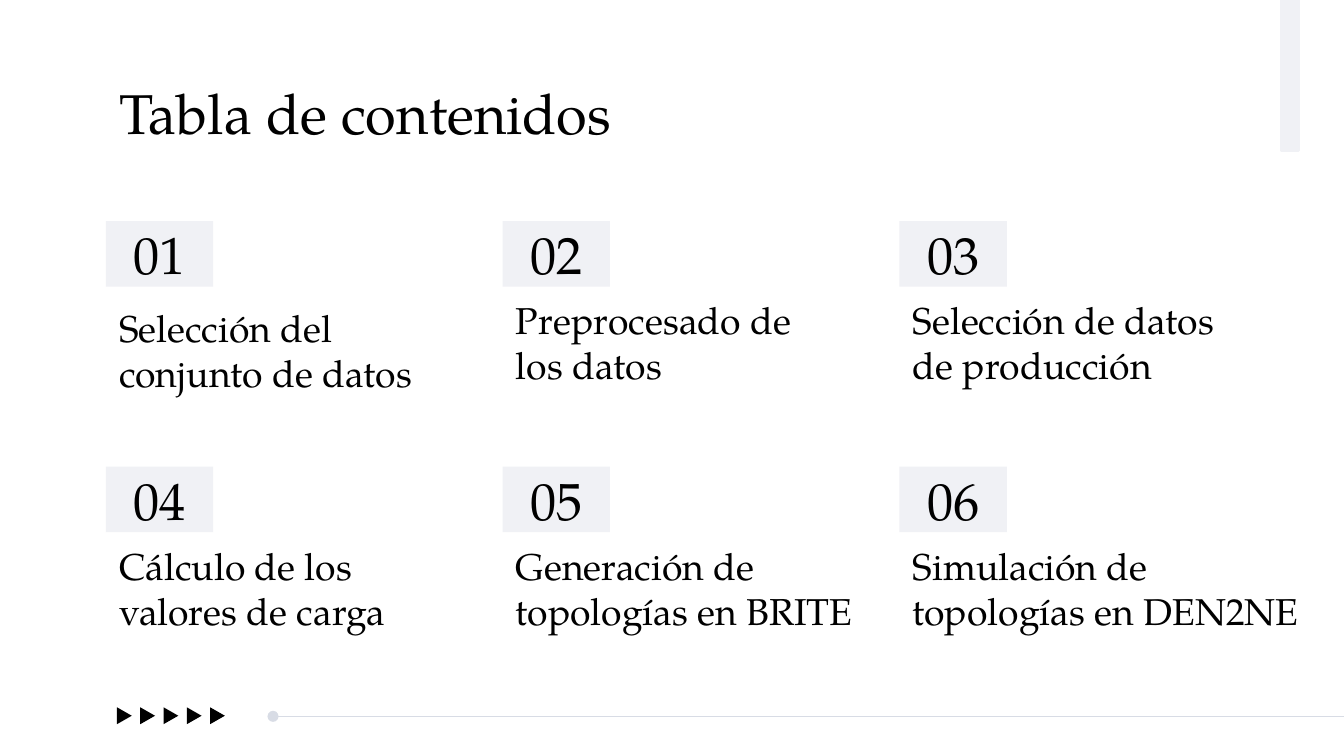
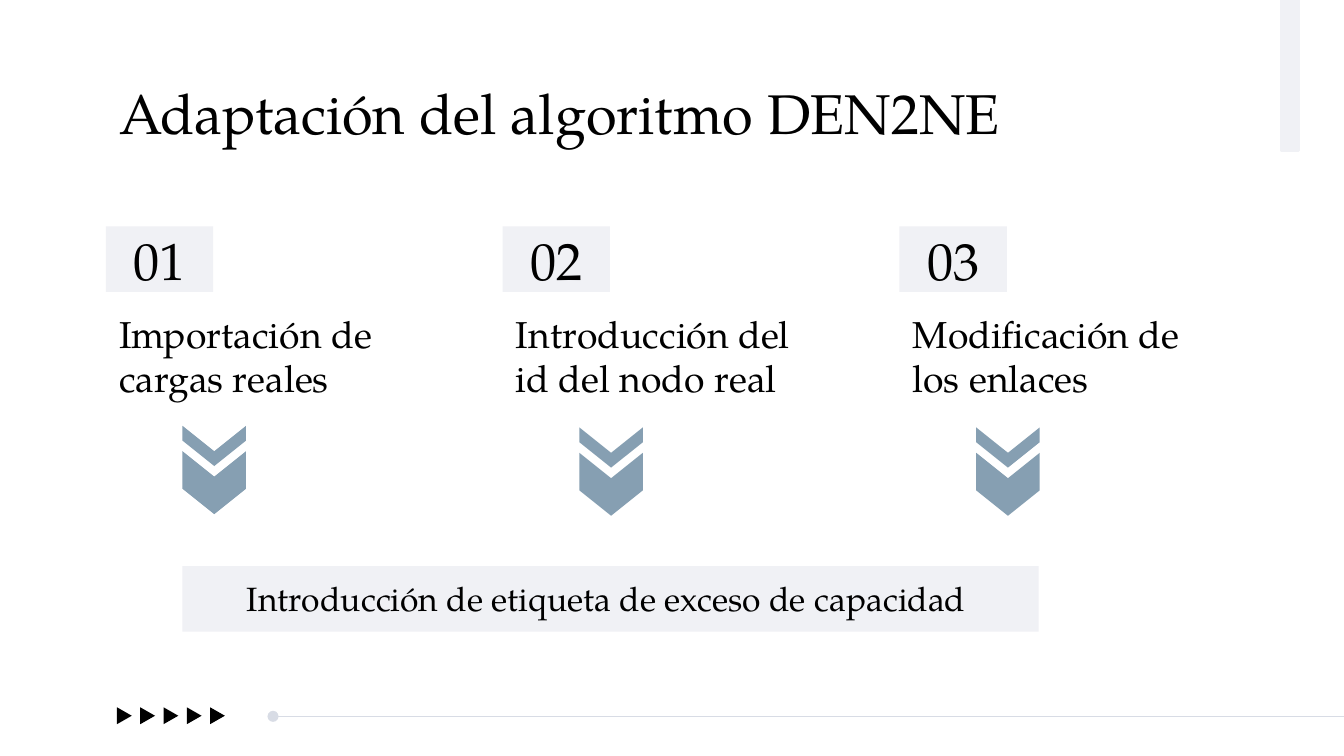
from lxml import etree
from pptx import Presentation
from pptx import util as u
from pptx.dml import color
from pptx.enum import shapes, text
from pptx.oxml import ns

FONT = "TeX Gyre Pagella"
BLACK, PALE, RULE, STEEL = "000000", "F0F1F5", "D8DCE5", "869FB2"
COLUMN_LEFT, COLUMN_PITCH = 2, 7.5
TAG_WIDTH, TAG_HEIGHT = 2.03, 1.24
CAPTION_WIDTH, CAPTION_HEIGHT = 6.4, 2.08
INSET = u.Cm(0.25)
FRAME_FORMAT = {
    "word_wrap": True,
    "margin_left": INSET,
    "margin_right": INSET,
    "margin_top": INSET,
    "margin_bottom": INSET,
}
LEFT, CENTER = text.PP_ALIGN.LEFT, text.PP_ALIGN.CENTER
TOP, MIDDLE, BOTTOM = text.MSO_ANCHOR.TOP, text.MSO_ANCHOR.MIDDLE, text.MSO_ANCHOR.BOTTOM


def rgb(value):
    return color.RGBColor.from_string(value)


def lengths(*values):
    return [u.Cm(value) for value in values]


def apply(target, values):
    for name, value in values.items():
        setattr(target, name, value)


def paint(shape, fill):
    shape.shadow.inherit = False
    shape.fill.solid()
    shape.fill.fore_color.rgb = rgb(fill)
    shape.line.fill.background()


def write(box, words, size, align=LEFT, anchor=TOP):
    frame = box.text_frame
    apply(frame, {**FRAME_FORMAT, "vertical_anchor": anchor})
    para = frame.paragraphs[0]
    para.alignment = align
    span = para.add_run()
    span.text = words
    apply(span.font, {"name": FONT, "size": u.Pt(size)})
    span.font.color.rgb = rgb(BLACK)


def add_block(page, kind, area, fill):
    block = page.shapes.add_shape(kind, *lengths(*area))
    paint(block, fill)
    return block


def add_panel(page, area, words, size, anchor):
    panel = add_block(page, shapes.MSO_SHAPE.RECTANGLE, area, PALE)
    write(panel, words, size, CENTER, anchor)


def add_label(page, area, words, size, anchor=TOP):
    box = page.shapes.add_textbox(*lengths(*area))
    write(box, words, size, anchor=anchor)


def add_footer_rule(page):
    rule = page.shapes.add_connector(
        shapes.MSO_CONNECTOR.STRAIGHT, *lengths(5.16, 13.54, 25.4, 13.54))
    rule.line.color.rgb = rgb(RULE)
    rule.line.width = u.Pt(0.75)
    outline = rule.line._get_or_add_ln()
    etree.SubElement(outline, ns.qn("a:headEnd"), type="oval")
    etree.SubElement(rule._element.spPr, ns.qn("a:effectLst"))


def add_page(deck, title):
    page = deck.slides.add_slide(deck.slide_layouts[6])
    for index in range(5):
        area = (2.19 + 0.44 * index, 13.39, 0.32, 0.28)
        triangle = add_block(page, shapes.MSO_SHAPE.ISOSCELES_TRIANGLE, area, BLACK)
        triangle.rotation = 90
    add_footer_rule(page)
    band = add_block(page, shapes.MSO_SHAPE.RECTANGLE, (24.21, 0, 0.33, 2.84), PALE)
    band.line.color.rgb = rgb(PALE)
    band.line.width = u.Pt(1.5)
    add_label(page, (COLUMN_LEFT, 1.24, 21.4, 1.6), title, 30)
    return page


def column_left(column):
    return COLUMN_LEFT + COLUMN_PITCH * column


def add_topic(page, number, column, top, words, gap=1.31, width=CAPTION_WIDTH):
    left = column_left(column)
    add_panel(page, (left, top, TAG_WIDTH, TAG_HEIGHT), f"{number:02}", 28, MIDDLE)
    add_label(page, (left, top + gap, width, CAPTION_HEIGHT), words, 20, BOTTOM)


def add_chevron(group, left, top, depth):
    width, drop = 1.2, 0.48
    middle, right = left + width / 2, left + width
    corners = [
        (left, top), (middle, top + drop), (right, top),
        (right, top + depth), (middle, top + depth + drop), (left, top + depth),
    ]
    points = [lengths(*corner) for corner in corners]
    builder = group.shapes.build_freeform(*points[0])
    builder.add_line_segments(points[1:], close=True)
    paint(builder.convert_to_shape(), STEEL)


def add_double_chevron(page, column, top):
    group = page.shapes.add_group_shape()
    left = column_left(column) + 1.45
    add_chevron(group, left, top + 0.48, 0.71)
    add_chevron(group, left, top, 0.28)


def build_contents(deck):
    page = add_page(deck, "Tabla de contenidos")
    topics = [
        ("Selección del conjunto de datos", {"gap": 1.46}),
        ("Preprocesado de los datos", {}),
        ("Selección de datos de producción", {}),
        ("Cálculo de los valores de carga", {}),
        ("Generación de topologías en BRITE", {"width": 7.04}),
        ("Simulación de topologías en DEN2NE", {"width": 7.82}),
    ]
    for index, (words, options) in enumerate(topics):
        row, column = divmod(index, 3)
        add_topic(page, index + 1, column, 4.18 + 4.64 * row, words, **options)


def build_adaptation(deck):
    page = add_page(deck, "Adaptación del algoritmo DEN2NE")
    steps = [
        ("Importación de cargas reales", CAPTION_WIDTH, 8.05),
        ("Introducción del id del nodo real", CAPTION_WIDTH, 8.08),
        ("Modificación de los enlaces", 5.97, 8.08),
    ]
    for column, (words, width, chevron_top) in enumerate(steps):
        add_topic(page, column + 1, column, 4.28, words, 1.46, width)
        add_double_chevron(page, column, chevron_top)
    add_panel(page, (3.45, 10.7, 16.18, TAG_HEIGHT),
              "Introducción de etiqueta de exceso de capacidad ", 18, BOTTOM)


def main():
    deck = Presentation()
    apply(deck, {"slide_width": u.Cm(25.4), "slide_height": u.Cm(14.29)})
    build_contents(deck)
    build_adaptation(deck)
    deck.save("out.pptx")


if __name__ == "__main__":
    main()
